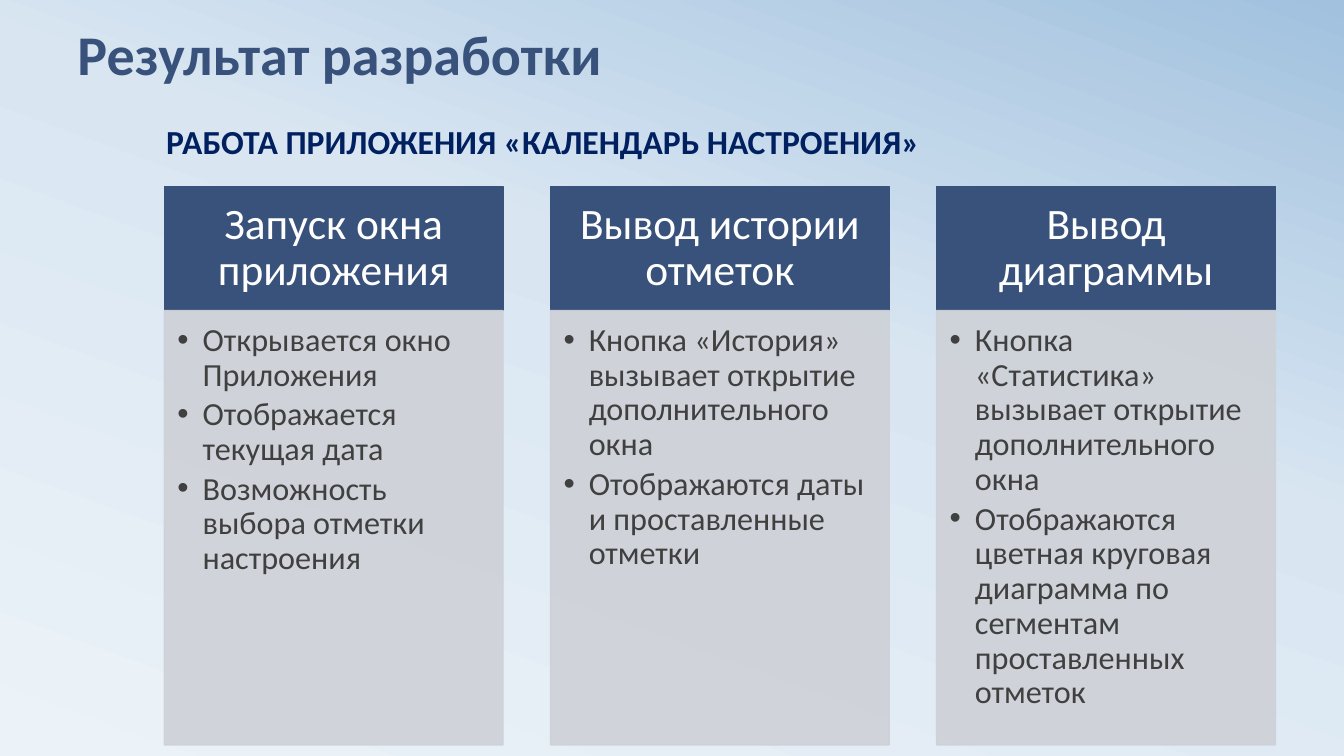
from dataclasses import dataclass

from lxml import etree
from pptx import Presentation
from pptx.dml.color import RGBColor
from pptx.enum.shapes import MSO_SHAPE
from pptx.enum.text import MSO_ANCHOR, PP_ALIGN
from pptx.oxml.ns import qn
from pptx.shapes.autoshape import Shape
from pptx.slide import Slide
from pptx.text.text import TextFrame
from pptx.util import Inches, Pt

RECTANGLE = MSO_SHAPE.RECTANGLE
TOP, MIDDLE, BOTTOM = MSO_ANCHOR.TOP, MSO_ANCHOR.MIDDLE, MSO_ANCHOR.BOTTOM
LEFT, CENTER = PP_ALIGN.LEFT, PP_ALIGN.CENTER


@dataclass(frozen=True)
class TextStyle:
    size: int
    color: str
    bold: bool = False
    align: PP_ALIGN = LEFT
    line_spacing: float = 1.0
    space_after: float = 0


@dataclass(frozen=True)
class Theme:
    font: str = "Calibri"
    header_fill: str = "39527B"
    body_fill: str = "CED1D7"
    body_opacity: int = 90
    gradient: tuple = ((0, "ECF3F8"), (58, "D9E6F2"), (100, "A1C1DE"))
    gradient_angle: int = 70
    title: TextStyle = TextStyle(40, "39527B", bold=True, line_spacing=0.8)
    subtitle: TextStyle = TextStyle(24, "002060", bold=True)
    header: TextStyle = TextStyle(31, "FFFFFF", align=CENTER, line_spacing=0.9)
    body: TextStyle = TextStyle(23, "404040", line_spacing=0.9, space_after=3.5)


@dataclass(frozen=True)
class Area:
    left: float
    top: float
    width: float
    height: float

    def lengths(self) -> tuple:
        return tuple(map(Inches, (self.left, self.top, self.width, self.height)))


@dataclass(frozen=True)
class Column:
    heading: str
    points: tuple


THEME = Theme()
TITLE_AREA = Area(0.67, -0.27, 12, 1.17)
SUBTITLE_AREA = Area(1.55, 1.15, 8.43, 0.5)
COLUMN_LEFT, COLUMN_PITCH, COLUMN_WIDTH = 1.63, 3.83, 3.36
HEADER_TOP, HEADER_HEIGHT, BODY_HEIGHT = 1.85, 1.23, 4.31
HEADER_INSETS = (0.24, 0.14, 0.24, 0.14)
BODY_INSETS = (0.13, 0.13, 0.18, 0.2)
BULLET_INDENT = 0.25

COLUMNS = (
    Column("Запуск окна приложения", (
        "Открывается окно Приложения",
        "Отображается текущая дата",
        "Возможность выбора отметки настроения",
    )),
    Column("Вывод истории отметок", (
        "Кнопка «История» вызывает открытие дополнительного окна",
        "Отображаются даты и проставленные отметки",
    )),
    Column("Вывод диаграммы", (
        "Кнопка «Статистика» вызывает открытие дополнительного окна",
        "Отображаются цветная круговая диаграмма по сегментам проставленных отметок",
    )),
)


def paint_background(page: Slide) -> None:
    fill = page.background.fill
    fill.gradient()
    fill.gradient_angle = THEME.gradient_angle
    stops = next(page.background._cSld.iter(qn("a:gsLst")))
    for stop in list(stops):
        stops.remove(stop)
    for position, color in THEME.gradient:
        stop = etree.SubElement(stops, qn("a:gs"), pos=str(position * 1000))
        etree.SubElement(stop, qn("a:srgbClr"), val=color)


def write_text(frame: TextFrame, lines: tuple, style: TextStyle, anchor: MSO_ANCHOR,
               insets: tuple = (0.1, 0.05, 0.1, 0.05)) -> None:
    frame.text = "\n".join(lines)
    frame.word_wrap = True
    frame.vertical_anchor = anchor
    (frame.margin_left, frame.margin_top,
     frame.margin_right, frame.margin_bottom) = map(Inches, insets)
    for para in frame.paragraphs:
        para.alignment = style.align
        para.line_spacing = style.line_spacing
        para.space_after = Pt(style.space_after)
        for span in para.runs:
            span.font.name = THEME.font
            span.font.size = Pt(style.size)
            span.font.bold = style.bold
            span.font.color.rgb = RGBColor.from_string(style.color)


def add_bullets(frame: TextFrame) -> None:
    indent = Inches(BULLET_INDENT)
    for para in frame.paragraphs:
        properties = para._p.get_or_add_pPr()
        properties.set("marL", str(indent))
        properties.set("indent", str(-indent))
        etree.SubElement(properties, qn("a:buFont"), typeface="Arial")
        etree.SubElement(properties, qn("a:buChar"), char="•")


def add_label(page: Slide, area: Area, text: str, style: TextStyle,
              anchor: MSO_ANCHOR) -> None:
    box = page.shapes.add_textbox(*area.lengths())
    write_text(box.text_frame, (text,), style, anchor)


def add_panel(page: Slide, area: Area, color: str, opacity: int = 100) -> Shape:
    panel = page.shapes.add_shape(RECTANGLE, *area.lengths())
    panel.shadow.inherit = False
    panel.fill.solid()
    panel.fill.fore_color.rgb = RGBColor.from_string(color)
    panel.line.color.rgb = RGBColor.from_string(color)
    panel.line.width = Pt(1)
    if opacity < 100:
        for tint in panel._element.spPr.iter(qn("a:srgbClr")):
            etree.SubElement(tint, qn("a:alpha"), val=str(opacity * 1000))
    return panel


def add_column(page: Slide, left: float, column: Column) -> None:
    header_area = Area(left, HEADER_TOP, COLUMN_WIDTH, HEADER_HEIGHT)
    header = add_panel(page, header_area, THEME.header_fill)
    write_text(header.text_frame, (column.heading,), THEME.header, MIDDLE, HEADER_INSETS)
    body_area = Area(left, HEADER_TOP + HEADER_HEIGHT, COLUMN_WIDTH, BODY_HEIGHT)
    body = add_panel(page, body_area, THEME.body_fill, THEME.body_opacity)
    write_text(body.text_frame, column.points, THEME.body, TOP, BODY_INSETS)
    add_bullets(body.text_frame)


def main() -> None:
    deck = Presentation()
    deck.slide_width, deck.slide_height = Inches(13.33), Inches(7.5)
    page = deck.slides.add_slide(deck.slide_layouts[6])
    paint_background(page)
    add_label(page, TITLE_AREA, "Результат разработки", THEME.title, BOTTOM)
    for index, column in enumerate(COLUMNS):
        add_column(page, COLUMN_LEFT + index * COLUMN_PITCH, column)
    add_label(page, SUBTITLE_AREA, "РАБОТА ПРИЛОЖЕНИЯ «КАЛЕНДАРЬ НАСТРОЕНИЯ»",
              THEME.subtitle, TOP)
    deck.save("out.pptx")


if __name__ == "__main__":
    main()
